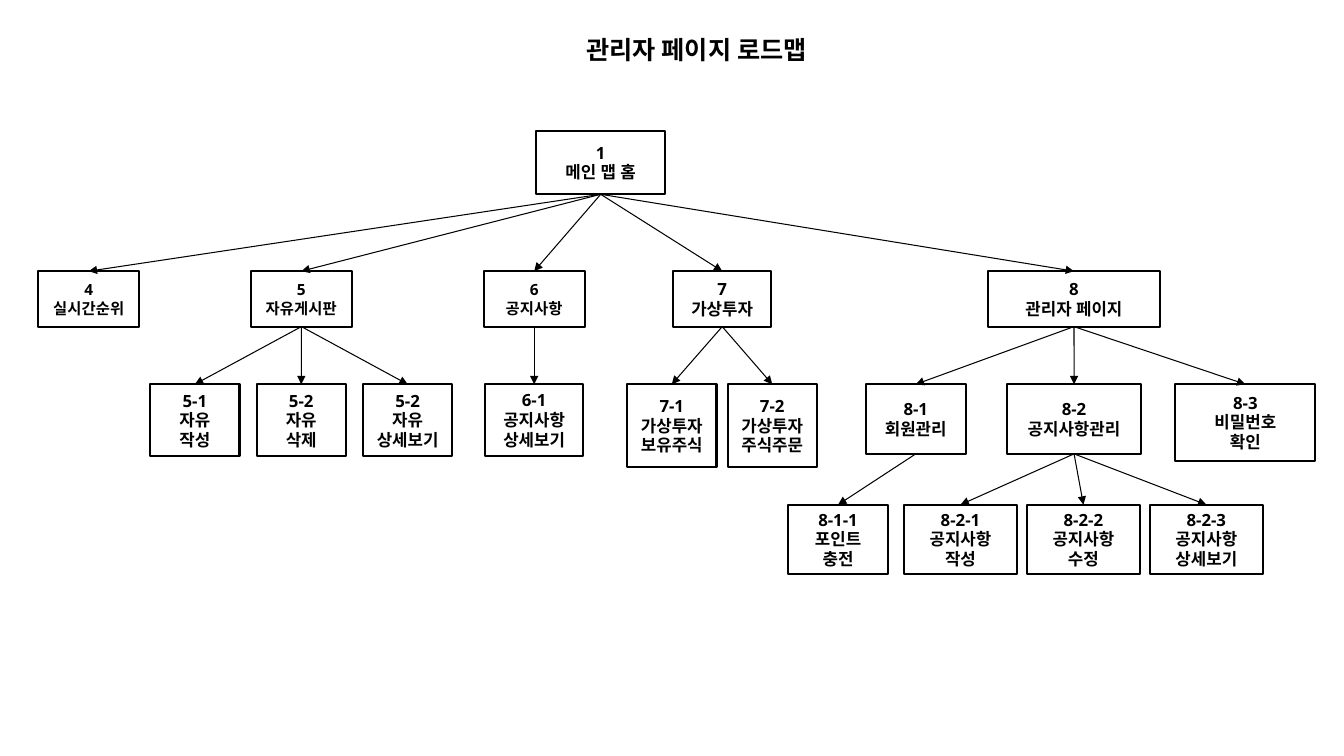
import pptx
import pptx.dml.color
import pptx.enum.shapes
import pptx.enum.text
import pptx.oxml
import pptx.oxml.ns
import pptx.util

Pt = pptx.util.Pt
ROW_TOPS = (93.6, 193.7, 274.5, 360.5)


def colour(hex_string):
    return pptx.dml.color.RGBColor.from_string(hex_string)


def add_element(parent, tag, **attributes):
    element = pptx.oxml.parse_xml(f"<{tag} {pptx.oxml.ns.nsdecls('a')}/>")
    for name, value in attributes.items():
        element.set(name, value)
    parent.append(element)


class SiteMap:
    """Holds the style and the current slide."""
    ink = "000000"
    title_font = "Noto Sans CJK KR"
    box_font = "Open Sans"
    bottom, top = 2, 0  # connection sites

    def __init__(self, slide):
        self.slide = slide

    def fill_text(self, frame, lines, font, size, margins, leading=None):
        frame.word_wrap = True
        frame.auto_size = pptx.enum.text.MSO_AUTO_SIZE.NONE
        frame.vertical_anchor = pptx.enum.text.MSO_ANCHOR.MIDDLE
        frame.margin_left = frame.margin_right = Pt(7.2)
        frame.margin_top = frame.margin_bottom = Pt(margins)
        for index, line in enumerate(lines):
            paragraph = frame.add_paragraph() if index else frame.paragraphs[0]
            paragraph.alignment = pptx.enum.text.PP_ALIGN.CENTER
            if leading:
                paragraph.line_spacing = Pt(leading)
            run = paragraph.add_run()
            run.text = line
            run.font.name = font
            run.font.size = Pt(size)
            run.font.bold = True
            run.font.color.rgb = colour(self.ink)
            add_element(run.font._element, "a:ea", typeface=font)

    def title(self, text, left, top, width, height):
        heading = self.slide.shapes.title
        heading.left, heading.top = Pt(left), Pt(top)
        heading.width, heading.height = Pt(width), Pt(height)
        self.fill_text(heading.text_frame, [text], self.title_font, 18, 3.6)

    def box(self, lines, left, top, width, height, size):
        page = self.slide.shapes.add_shape(
            pptx.enum.shapes.MSO_SHAPE.RECTANGLE,
            Pt(left), Pt(top), Pt(width), Pt(height))
        page.shadow.inherit = False
        page.fill.background()
        page.line.color.rgb = colour(self.ink)
        page.line.width = Pt(1.5)
        self.fill_text(page.text_frame, lines, self.box_font, size, 7.2,
                       leading=round(size * 1.18))
        return page

    def arrow(self, parent, child):
        link = self.slide.shapes.add_connector(
            pptx.enum.shapes.MSO_CONNECTOR.STRAIGHT, 0, 0, 0, 0)
        link.begin_connect(parent, self.bottom)
        link.end_connect(child, self.top)
        link.line.color.rgb = colour(self.ink)
        link.line.width = Pt(0.75)
        add_element(link.line._get_or_add_ln(), "a:tailEnd", type="triangle")
        add_element(link._element.spPr, "a:effectLst")

    def branch(self, node, parent=None, depth=0):
        text, left, width, height, size, children = node
        page = self.box(text.split("|"), left, ROW_TOPS[depth],
                        width, height, size)
        if parent is not None:
            self.arrow(parent, page)
        for child in children:
            self.branch(child, page, depth + 1)


def leaf(text, left, width, height, size=12):
    return text, left, width, height, size, []


# Pages by section: text, left, width, height, size, children
ranking = leaf("4|실시간순위", 27.4, 72, 39.6, 11)

board_pages = ["5-1|자유|작성", "5-2|자유|삭제", "5-2|자유|상세보기"]
board = ("5|자유게시판", 179.3, 72, 39.6, 11, [
    leaf(text, 107.3 + 76 * column, 63.8, 51.4)
    for column, text in enumerate(board_pages)])

notices = ("6|공지사항", 345.6, 72, 39.6, 11, [
    leaf("6-1|공지사항|상세보기", 346.7, 69.8, 51.1)])

investing_pages = ["7-1|가상투자|보유주식", "7-2|가상투자|주식주문"]
investing = ("7|가상투자", 481, 69.8, 39.6, 12, [
    leaf(text, 448 + 71.7 * column, 63.8, 59)
    for column, text in enumerate(investing_pages)])

notice_admin_pages = ["8-2-1|공지사항|작성", "8-2-2|공지사항|수정",
                      "8-2-3|공지사항|상세보기"]
admin = ("8|관리자 페이지", 705.6, 123.1, 39.6, 12, [
    ("8-1|회원관리", 618.5, 71.3, 49.7, 12, [
        leaf("8-1-1|포인트|충전", 563, 71.3, 49.7)]),
    ("8-2|공지사항관리", 719.3, 95.8, 49.7, 12, [
        leaf(text, 645.8 + 87.8 * column, 80.6, 49.7)
        for column, text in enumerate(notice_admin_pages)]),
    leaf("8-3|비밀번호|확인", 839.5, 100.1, 54.7)])

home = ("1|메인 맵 홈", 383, 92.2, 45.2, 12,
        [ranking, board, notices, investing, admin])


def main():
    deck = pptx.Presentation()
    deck.slide_width, deck.slide_height = Pt(960), Pt(540)
    site_map = SiteMap(deck.slides.add_slide(deck.slide_layouts[5]))

    # Heading
    site_map.title("관리자 페이지 로드맵", 377.3, 20.9, 240.5, 28.8)

    # Page tree
    site_map.branch(home)

    deck.save("out.pptx")


if __name__ == "__main__":
    main()
